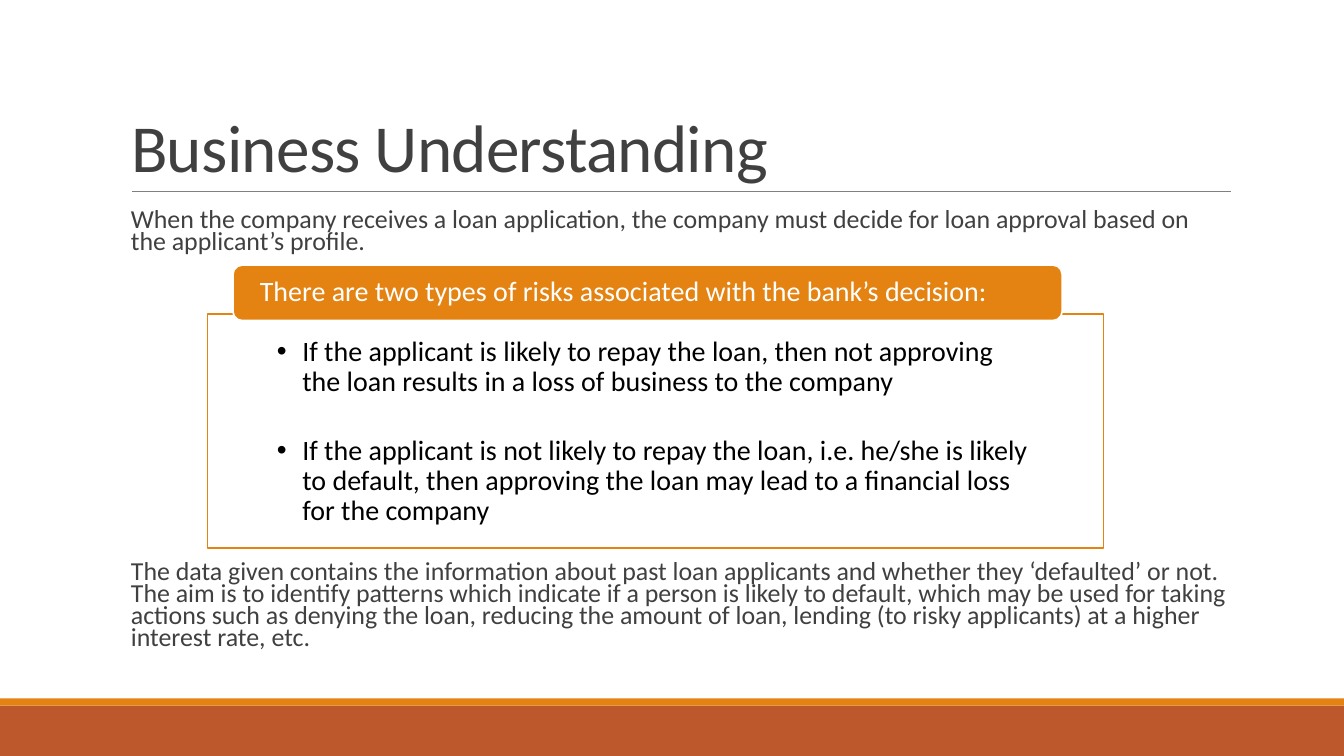
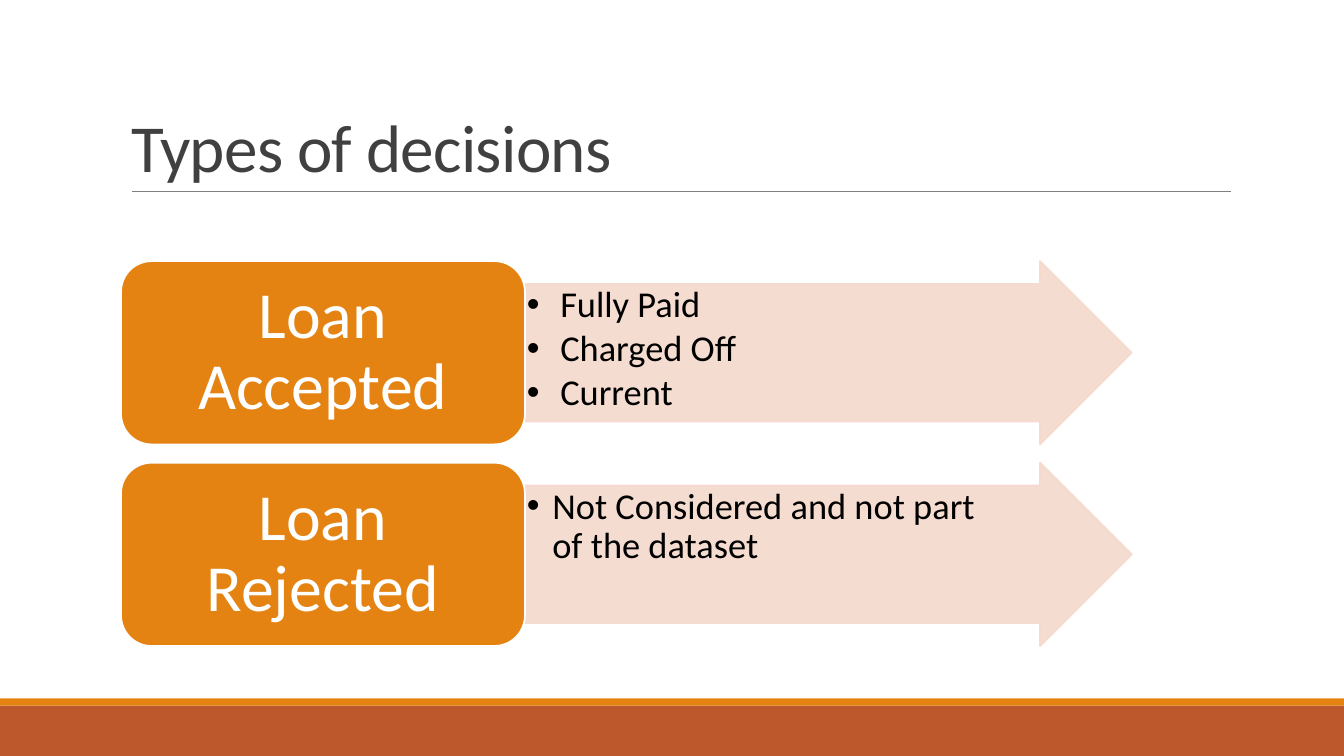
from lxml.etree import SubElement
from pptx import Presentation
from pptx.dml.color import RGBColor
from pptx.enum.shapes import MSO_CONNECTOR, MSO_SHAPE
from pptx.enum.text import MSO_ANCHOR, MSO_AUTO_SIZE, PP_ALIGN
from pptx.oxml.ns import qn
from pptx.util import Cm, Pt

# Content
RISK_TITLE = "Business Understanding"
INTRO = ("When the company receives a loan application, the company must decide "
         "for loan approval based on the applicant’s profile.")
RISK_HEADING = "There are two types of risks associated with the bank’s decision:"
RISKS = [
    "If the applicant is likely to repay the loan, then not approving the loan "
    "results in a loss of business to the company",
    "If the applicant is not likely to repay the loan, i.e. he/she is likely to "
    "default, then approving the loan may lead to a financial loss for the company",
]
AIM = ("The data given contains the information about past loan applicants and "
       "whether they ‘defaulted’ or not. The aim is to identify patterns which "
       "indicate if a person is likely to default, which may be used for taking "
       "actions such as denying the loan, reducing the amount of loan, lending "
       "(to risky applicants) at a higher interest rate, etc.")
DECISION_TITLE = "Types of decisions"
# Label, outcomes, bullet indent in cm
DECISIONS = [
    ("Loan Accepted", ["Fully Paid", "Charged Off", "Current"], 0.84),
    ("Loan Rejected", ["Not Considered and not part\vof the dataset"], 0.64),
]

# Style
FONT = "Calibri"
ORANGE = RGBColor(0xE4, 0x83, 0x12)
RUST = RGBColor(0xBD, 0x58, 0x2C)
BLUSH = RGBColor(0xF5, 0xD9, 0xCC)
GRAY = RGBColor(0x80, 0x80, 0x80)
DARK = RGBColor(0x40, 0x40, 0x40)
BLACK = RGBColor(0, 0, 0)
WHITE = RGBColor(0xFF, 0xFF, 0xFF)
PAGE_WIDTH, PAGE_HEIGHT = 33.87, 19.05
LEFT, CONTENT_WIDTH = 3.05, 27.94


def add_block(page, kind, place, fill, line=None):
    shape = page.shapes.add_shape(kind, *map(Cm, place))
    shape.shadow.inherit = False
    shape.fill.solid()
    shape.fill.fore_color.rgb = fill
    if line is None:
        shape.line.fill.background()
    else:
        shape.line.color.rgb = line
        shape.line.width = Pt(1.25)
    return shape


def add_bullet(para, indent):
    properties = para._p.get_or_add_pPr()
    properties.set("marL", str(Cm(indent)))
    properties.set("indent", str(-Cm(indent)))
    SubElement(properties, qn("a:buFont")).set("typeface", "Arial")
    SubElement(properties, qn("a:buChar")).set("char", "•")


def write(shape, texts, size, color, insets=None, spacing=0.9, gap=0,
          anchor=MSO_ANCHOR.TOP, align=PP_ALIGN.LEFT, bullet=None):
    """Fill a shape with paragraphs; insets are left, top, right, bottom in cm."""
    frame = shape.text_frame
    frame.word_wrap = True
    frame.auto_size = MSO_AUTO_SIZE.NONE
    frame.vertical_anchor = anchor
    if insets:
        (frame.margin_left, frame.margin_top,
         frame.margin_right, frame.margin_bottom) = map(Cm, insets)
    for index, text in enumerate(texts):
        para = frame.add_paragraph() if index else frame.paragraphs[0]
        para.text = text
        para.alignment = align
        para.line_spacing = spacing
        para.space_before = Pt(gap if index else 0)
        if bullet:
            add_bullet(para, bullet)
        para.font.name = FONT
        para.font.size = Pt(size)
        para.font.color.rgb = color


def add_page(deck, title):
    """Add a slide with the shared bands, title and rule."""
    page = deck.slides.add_slide(deck.slide_layouts[5])
    for top, height, color in [(17.78, 1.27, RUST), (17.6, 0.18, ORANGE)]:
        add_block(page, MSO_SHAPE.RECTANGLE, (0, top, PAGE_WIDTH, height), color)

    rule = page.shapes.add_connector(
        MSO_CONNECTOR.STRAIGHT, Cm(3.33), Cm(4.82), Cm(31.02), Cm(4.82))
    rule.line.color.rgb = GRAY
    rule.line.width = Pt(0.5)
    SubElement(rule._element.spPr, qn("a:effectLst"))

    heading = page.shapes.title
    heading.left, heading.top = Cm(LEFT), Cm(0.79)
    heading.width, heading.height = Cm(CONTENT_WIDTH), Cm(4.03)
    write(heading, [title], 48, DARK, spacing=0.85, anchor=MSO_ANCHOR.BOTTOM)
    span = heading.text_frame.paragraphs[0].runs[0]
    span._r.get_or_add_rPr().set("spc", "-50")
    return page


def build_risks(deck):
    page = add_page(deck, RISK_TITLE)

    # Text above and below the panel
    for text, top, height in [(INTRO, 5.2, 1.4), (AIM, 14.07, 3.1)]:
        box = page.shapes.add_textbox(
            Cm(LEFT), Cm(top), Cm(CONTENT_WIDTH), Cm(height))
        write(box, [text], 18.5, DARK, (0.25, 0.13, 0, 0.13), spacing=0.7)

    # Panel with its heading
    panel = add_block(page, MSO_SHAPE.RECTANGLE, (5.23, 7.92, 22.58, 5.9),
                      WHITE, ORANGE)
    write(panel, RISKS, 20, BLACK, (1.75, 0.58, 1.75, 0.41), gap=27.5, bullet=0.64)
    heading = add_block(page, MSO_SHAPE.ROUNDED_RECTANGLE, (5.87, 6.68, 20.9, 1.4),
                        ORANGE, WHITE)
    write(heading, [RISK_HEADING], 20, WHITE, (0.61, 0, 0.61, 0),
          anchor=MSO_ANCHOR.MIDDLE)


def build_decisions(deck):
    page = add_page(deck, DECISION_TITLE)
    first_top, row_height, row_step = 6.58, 4.62, 5.08
    label_width, arrow_width = 10.18, 15.29

    for row, (name, outcomes, indent) in enumerate(DECISIONS):
        top = first_top + row * row_step

        # Outcome arrow
        arrow = add_block(page, MSO_SHAPE.RIGHT_ARROW,
                          (LEFT + label_width, top, arrow_width, row_height),
                          BLUSH, BLUSH)
        arrow.adjustments[0], arrow.adjustments[1] = 0.75, 0.5
        for color in arrow._element.spPr.iter(qn("a:srgbClr")):
            SubElement(color, qn("a:alpha")).set("val", "90000")
        write(arrow, outcomes, 26, BLACK, (0.05, 0.05, 0.05, 0.05), gap=3.5,
              bullet=indent)

        # Decision label
        label = add_block(page, MSO_SHAPE.ROUNDED_RECTANGLE,
                          (LEFT, top, label_width, row_height), ORANGE, WHITE)
        write(label, [name], 47, WHITE, (0.5, 0.25, 0.5, 0.25),
              anchor=MSO_ANCHOR.MIDDLE, align=PP_ALIGN.CENTER)


def main():
    deck = Presentation()
    deck.slide_width, deck.slide_height = Cm(PAGE_WIDTH), Cm(PAGE_HEIGHT)
    build_risks(deck)
    build_decisions(deck)
    deck.save("out.pptx")


if __name__ == "__main__":
    main()
